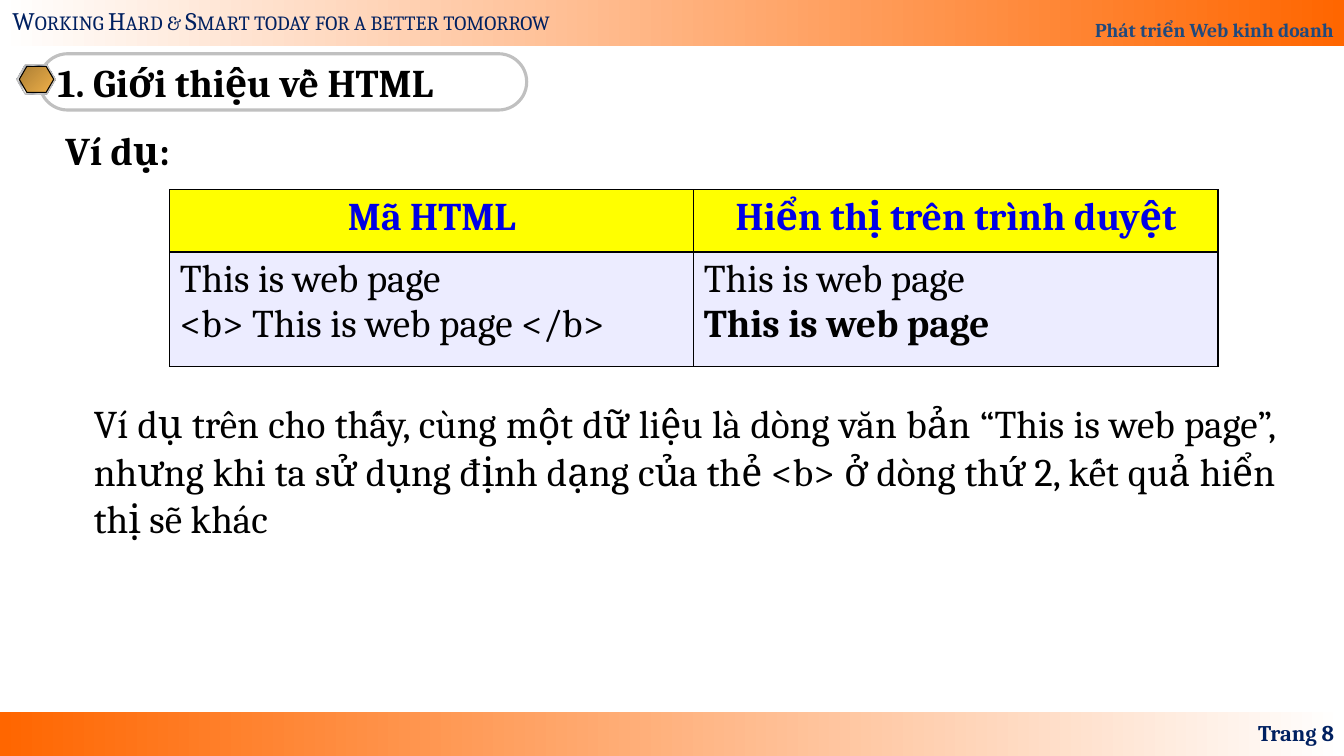
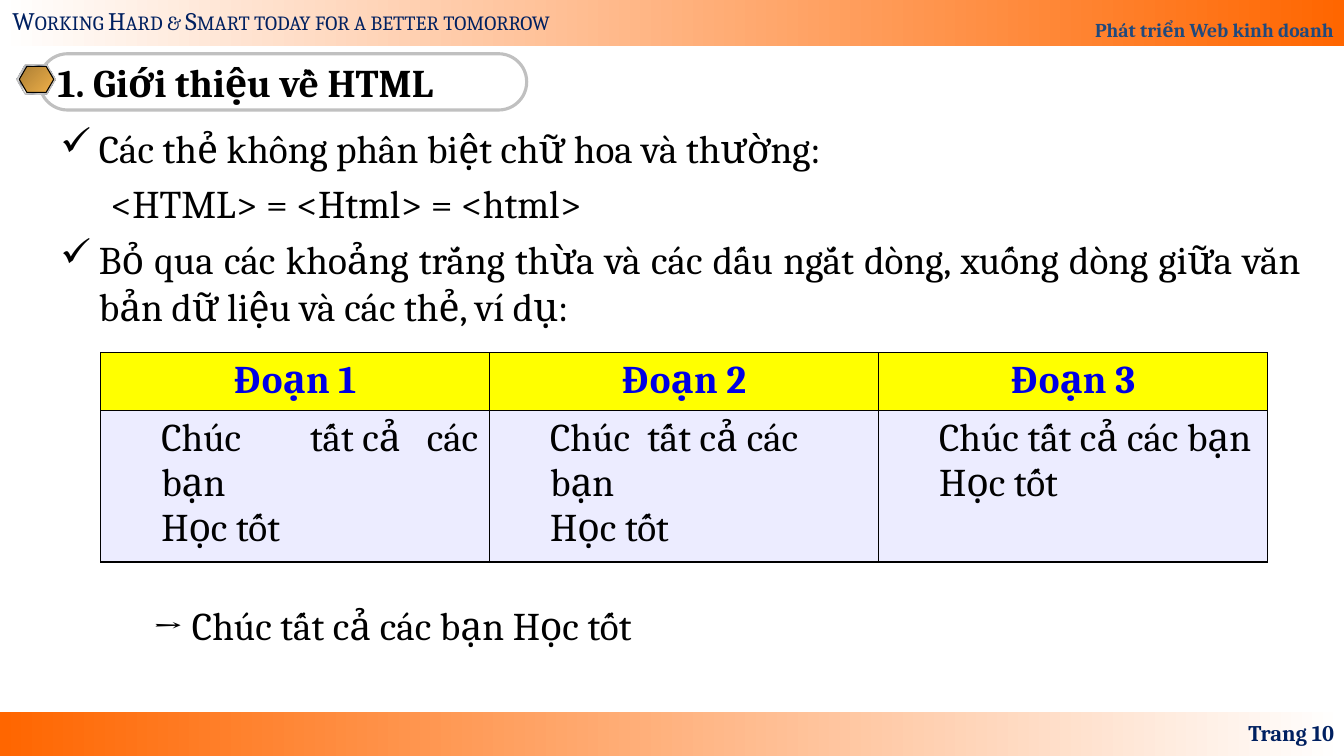
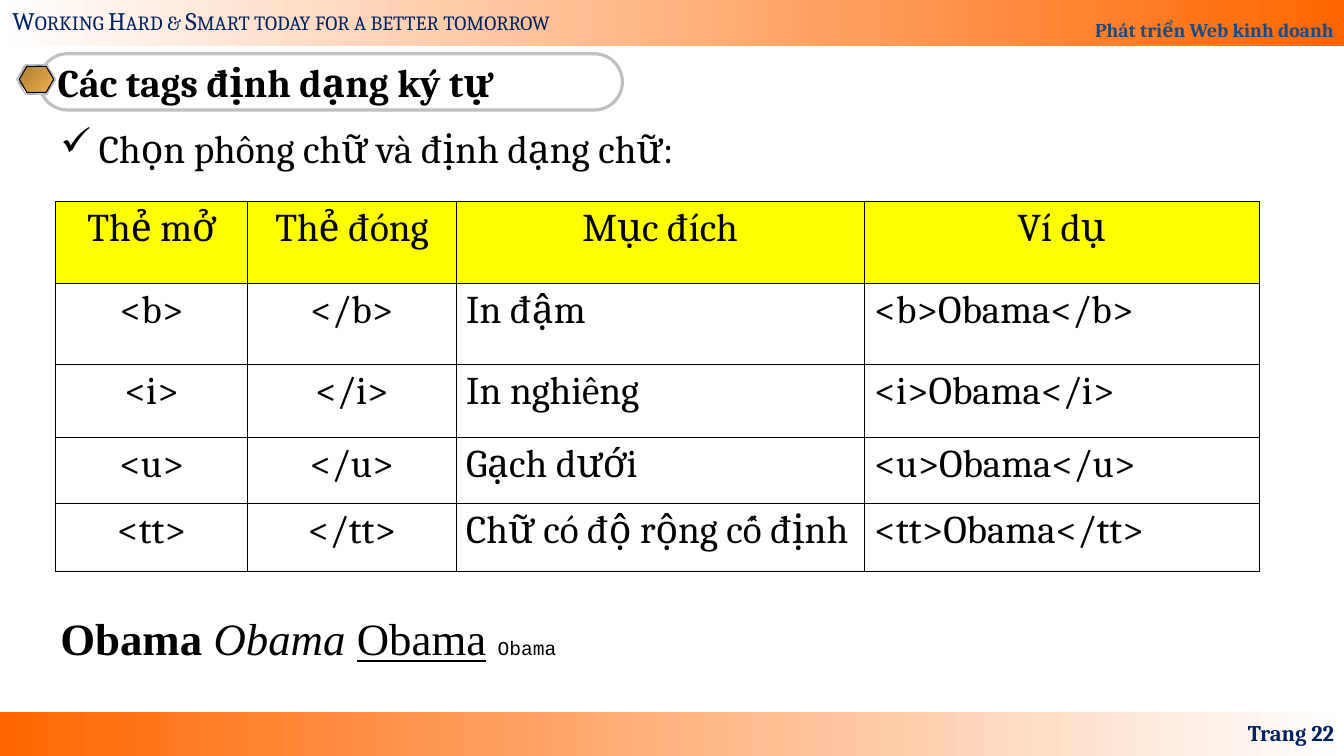
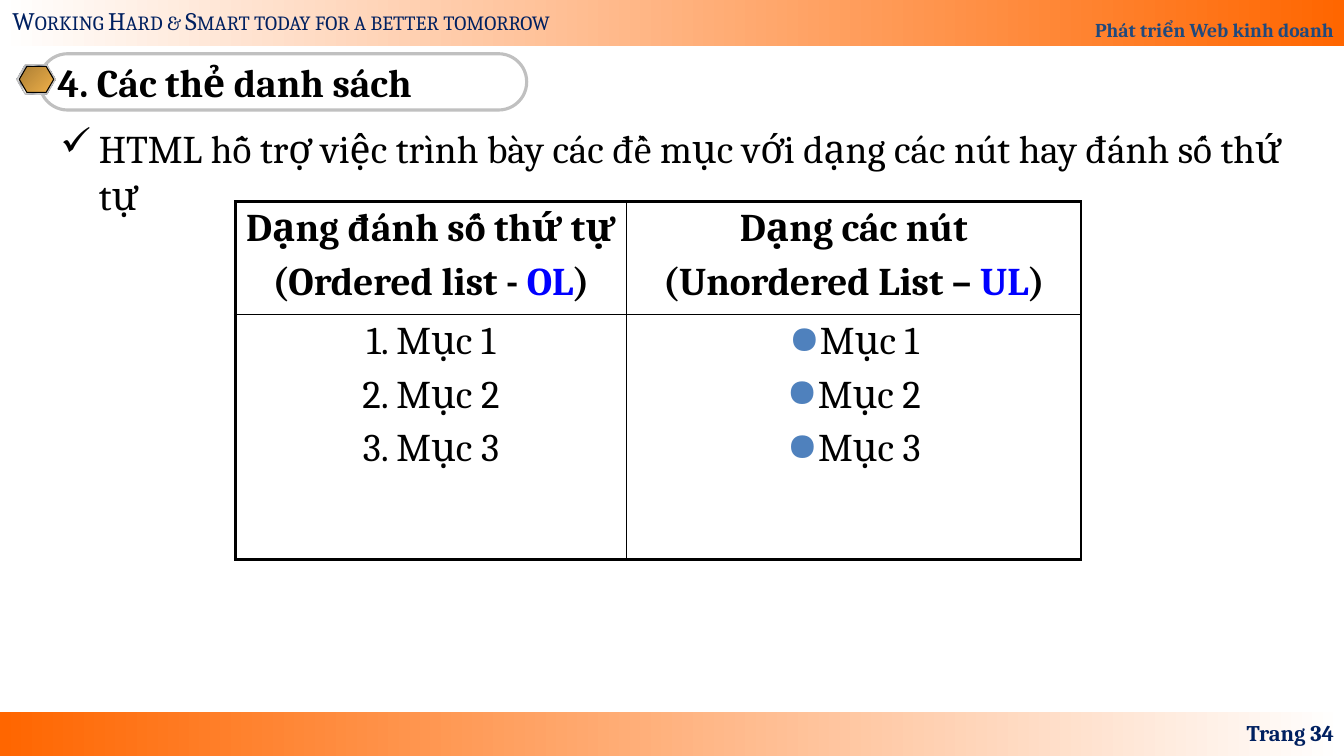
from dataclasses import dataclass

import pptx
import pptx.dml.color
import pptx.enum.shapes
import pptx.enum.text
import pptx.oxml.ns
import pptx.util
from lxml import etree

Align = pptx.enum.text.PP_ALIGN
Anchor = pptx.enum.text.MSO_ANCHOR
Preset = pptx.enum.shapes.MSO_SHAPE
Pt = pptx.util.Pt
qn = pptx.oxml.ns.qn

COLUMNS, ROWS = 160, 90
UNIT = pptx.util.Inches(7.5) // ROWS


class Theme:
    white, black, orange = "FFFFFF", "000000", "FF6600"
    yellow, lavender, bullet_blue = "FFFF00", "ECECFF", "4F81BD"
    outline, shade = "C0C0C0", "808080"
    band = [(0, white), (100, orange)]
    band_reversed = [(0, orange), (100, white)]
    silver = [(0, "E6E6E6"), (7, "7D8496"), (26, "E6E6E6"), (34, "7D8496"),
              (46, "E6E6E6"), (50, white), (54, "E6E6E6"), (66, "7D8496"),
              (74, "E6E6E6"), (93, "7D8496"), (100, "E6E6E6")]
    gold = [(0, "AB7E34"), (100, "EFB049")]

    body = dict(name="Cambria", size=Pt(28), color=black, bold=False)
    strong = body | dict(bold=True)
    heading = strong | dict(color="0000E5")
    keyword = dict(color="0000FF")
    course = strong | dict(size=Pt(14), color="1F497D")
    motto = body | dict(size=Pt(18), color="002060")
    page = strong | dict(size=Pt(16), color="002060")
    sample = body | dict(name="Times New Roman", size=Pt(32))
    fixed_width = dict(name="Courier New", size=Pt(14))
    paragraph_gap = Pt(6)


@dataclass
class Line:
    """A paragraph: plain text or (text, style changes) runs; indents in grid units."""
    content: object
    indent: float = 0
    hang: float = 0
    bullet: str = ""
    bullet_color: str = ""


def checked(text):
    return Line(text, indent=4.6, hang=4.6, bullet="✓")


def nested(text):
    return Line(text, indent=6)


def dotted(text):
    return Line(text, bullet="●", bullet_color=Theme.bullet_blue)


def rgb(value):
    return pptx.dml.color.RGBColor.from_string(value)


def grid(*units):
    return [round(unit * UNIT) for unit in units]


def apply(target, values):
    for attribute, value in values.items():
        setattr(target, attribute, value)


def add_color(parent, value):
    etree.SubElement(parent, qn("a:srgbClr"), val=value)


class Deck:
    def __init__(self):
        self.file = pptx.Presentation()
        apply(self.file, dict(slide_width=COLUMNS * UNIT, slide_height=ROWS * UNIT))
        self.slide = None

    def fill_text(self, frame, lines, style, **paragraph_format):
        """Fill a text frame with strings or Lines."""
        for index, line in enumerate([lines] if isinstance(lines, str) else lines):
            line = line if isinstance(line, Line) else Line(line)
            paragraph = frame.paragraphs[0] if index == 0 else frame.add_paragraph()
            self.indent(paragraph, line)
            values = dict(paragraph_format)
            if index == 0:
                values.pop("space_before", None)
            apply(paragraph, values)
            runs = [(line.content, {})] if isinstance(line.content, str) else line.content
            for text, changes in runs:
                run = paragraph.add_run()
                run.text = text
                values = style | changes
                run.font.color.rgb = rgb(values.pop("color"))
                apply(run.font, values)

    def indent(self, paragraph, line):
        properties = paragraph._p.get_or_add_pPr()
        margin, hang = grid(line.indent, line.hang)
        properties.set("marL", str(margin))
        properties.set("indent", str(-hang))
        if line.bullet_color:
            add_color(etree.SubElement(properties, qn("a:buClr")), line.bullet_color)
        if line.bullet:
            etree.SubElement(properties, qn("a:buChar"), char=line.bullet)
        else:
            etree.SubElement(properties, qn("a:buNone"))

    def text(self, place, lines, style, anchor=Anchor.TOP, **paragraph_format):
        frame = self.slide.shapes.add_textbox(*grid(*place)).text_frame
        apply(frame, dict(word_wrap=True, vertical_anchor=anchor))
        self.fill_text(frame, lines, style, **paragraph_format)
        return frame

    def shape(self, preset, place, fill=None, line=None, width=0.75,
              angle=0, adjustments=()):
        """Draw a preset; fill is a colour, a list of gradient stops or None."""
        shape = self.slide.shapes.add_shape(preset, *grid(*place))
        shape.shadow.inherit = False
        for index, value in enumerate(adjustments):
            shape.adjustments[index] = value
        if fill is None:
            shape.fill.background()
        elif isinstance(fill, str):
            shape.fill.solid()
            shape.fill.fore_color.rgb = rgb(fill)
        else:
            shape.fill.gradient()
            shape.fill.gradient_angle = (360 - angle) % 360
            stops = shape._element.spPr.find(".//" + qn("a:gsLst"))
            for stop in list(stops):
                stops.remove(stop)
            for position, color in fill:
                add_color(etree.SubElement(stops, qn("a:gs"), pos=str(position * 1000)), color)
        if line:
            shape.line.color.rgb = rgb(line)
            shape.line.width = Pt(width)
        else:
            shape.line.fill.background()
        return shape

    def new_slide(self, title, page, title_width=58):
        self.slide = self.file.slides.add_slide(self.file.slide_layouts[6])
        self.shape(Preset.RECTANGLE, (0, 84.8, COLUMNS, 5.2), Theme.band_reversed)
        header = self.shape(Preset.RECTANGLE, (0, 0, COLUMNS, 5.5), Theme.band).text_frame
        header.vertical_anchor = Anchor.BOTTOM
        self.fill_text(header, "Phát triển Web kinh doanh", Theme.course,
                       alignment=Align.RIGHT, line_spacing=1.8)
        motto = self.text((0.3, 0.1, 70.8, 4.8),
                          "Working Hard & Smart today for a better tomorrow", Theme.motto)
        motto.paragraphs[0].runs[0]._r.get_or_add_rPr().set("cap", "small")

        pill = self.shape(Preset.ROUNDED_RECTANGLE, (4.7, 6.4, title_width, 6.7),
                          line=Theme.outline, width=2.25, adjustments=[0.5]).text_frame
        apply(pill, dict(word_wrap=True, vertical_anchor=Anchor.MIDDLE))
        self.fill_text(pill, title, Theme.strong, alignment=Align.LEFT)
        for place, fill, line in [
            ((2, 7.8, 4.6, 3.5), Theme.shade, None),
            ((2, 7.7, 4.6, 3.5), Theme.silver, Theme.outline),
            ((2.3, 7.9, 4.1, 3.1), Theme.gold, Theme.black),
        ]:
            self.shape(Preset.HEXAGON, place, fill, line, angle=45, adjustments=[0.29, 1.15])
        self.text((122.6, 84.8, 37.4, 4.8), f"Trang {page}", Theme.page,
                  Anchor.MIDDLE, alignment=Align.RIGHT)

    def body(self, lines, alignment=Align.LEFT):
        self.text((6, 14.2, 150, 68.9), lines, Theme.body,
                  alignment=alignment, space_before=Theme.paragraph_gap)

    def table(self, corner, widths, heights, cells, aligns, head_style=Theme.heading,
              head_fill=Theme.yellow, body_fill=None, inner=1, outer=1, **paragraph_format):
        """Draw a table with a centred header row; aligns holds one value per column."""
        frame = self.slide.shapes.add_table(
            len(heights), len(widths), *grid(*corner, sum(widths), sum(heights)))
        table = frame.table
        apply(table, dict(first_row=False, horz_banding=False))
        for column, width in zip(table.columns, grid(*widths)):
            column.width = width
        for row, height in zip(table.rows, grid(*heights)):
            row.height = height
        last_row, last_column = len(heights) - 1, len(widths) - 1
        for r, row in enumerate(cells):
            for c, lines in enumerate(row):
                cell = table.cell(r, c)
                style, fill, align = ((Theme.body, body_fill, aligns[c]) if r
                                      else (head_style, head_fill, Align.CENTER))
                self.fill_text(cell.text_frame, lines, style, alignment=align,
                               **paragraph_format)
                edges = dict(L=c == 0, R=c == last_column, T=r == 0, B=r == last_row)
                self.borders(cell, {side: outer if edge else inner
                                    for side, edge in edges.items()})
                if fill:
                    cell.fill.solid()
                    cell.fill.fore_color.rgb = rgb(fill)
                else:
                    cell.fill.background()

    def borders(self, cell, widths):
        properties = cell._tc.get_or_add_tcPr()
        for side, width in widths.items():
            border = etree.SubElement(properties, qn(f"a:ln{side}"), w=str(Pt(width)))
            add_color(etree.SubElement(border, qn("a:solidFill")), Theme.black)


def bold_example(deck):
    deck.new_slide("1. Giới thiệu về HTML", 8)
    deck.table(
        (20.2, 22.6), [62.4] * 2, [7.4, 13.6],
        [["Mã HTML", "Hiển thị trên trình duyệt"],
         [["This is web page", "<b> This is web page </b>"],
          ["This is web page", Line([("This is web page", dict(bold=True))])]]],
        [Align.LEFT] * 2, body_fill=Theme.lavender)
    deck.text((6.6, 14.4, 20, 6.8), "Ví dụ:", Theme.strong)
    deck.text((10, 47, 143, 18.1),
              "Ví dụ trên cho thấy, cùng một dữ liệu là dòng văn bản “This is web page”, "
              "nhưng khi ta sử dụng định dạng của thẻ <b> ở dòng thứ 2, kết quả hiển thị "
              "sẽ khác", Theme.body, alignment=Align.JUSTIFY)


def whitespace_rules(deck):
    deck.new_slide("1. Giới thiệu về HTML", 10)
    deck.body([
        checked("Các thẻ không phân biệt chữ hoa và thường:"),
        nested("<HTML> = <Html> = <html>"),
        checked("Bỏ qua các khoảng trắng thừa và các dấu ngắt dòng, xuống dòng giữa "
                "văn bản dữ liệu và các thẻ, ví dụ:"),
    ], Align.JUSTIFY)
    deck.table(
        (12, 42), [46.3] * 3, [6.9, 18],
        [[f"Đoạn {number}" for number in (1, 2, 3)],
         [[nested("Chúc        tất cả   các bạn"), nested("Học tốt")],
          [nested("Chúc  tất cả các bạn"), nested("Học tốt")],
          [nested("Chúc tất cả các bạn Học tốt")]]],
        [Align.LEFT] * 3, body_fill=Theme.lavender)
    deck.text((11, 71, 67.6, 6.8), [nested("→ Chúc tất cả các bạn Học tốt")], Theme.body)


def character_tags(deck):
    deck.new_slide("Các tags định dạng ký tự", 22, title_width=69.4)
    deck.body([checked("Chọn phông chữ và định dạng chữ:")])
    purposes = dict(b="In đậm", i="In nghiêng", u="Gạch dưới", tt="Chữ có độ rộng cố định")
    deck.table(
        (6.6, 24), [22.9, 24.8, 48.6, 47], [9.7, 9.7, 8.7, 7.8, 8.1],
        [["Thẻ mở", "Thẻ đóng", "Mục đích", "Ví dụ"]]
        + [[f"<{tag}>", f"</{tag}>", purpose, f"<{tag}>Obama</{tag}>"]
           for tag, purpose in purposes.items()],
        [Align.CENTER] * 2 + [Align.LEFT] * 2,
        head_style=Theme.body, inner=0.75, outer=0.75)
    deck.text((6, 72.1, 152, 7.7), [Line([
        ("Obama ", dict(bold=True)), ("Obama ", dict(italic=True)),
        ("Obama", dict(underline=True)), (" ", {}), ("Obama", Theme.fixed_width),
    ])], Theme.sample, Anchor.MIDDLE)


def list_tags(deck):
    deck.new_slide("4. Các thẻ danh sách", 34)
    deck.body([checked("HTML hỗ trợ việc trình bày các đề mục với dạng các nút "
                       "hay đánh số thứ tự")])
    items = [f"Mục {number}" for number in (1, 2, 3)]
    deck.table(
        (28, 24), [46.6, 54.1], [13.4, 29.2],
        [[["Dạng đánh số thứ tự",
           Line([("(Ordered list - ", {}), ("OL", Theme.keyword), (")", {})])],
          ["Dạng các nút",
           Line([("(Unordered List – ", {}), ("UL", Theme.keyword), (")", {})])]],
         [[f"{number}. {item}" for number, item in enumerate(items, 1)],
          [dotted(item) for item in items]]],
        [Align.CENTER] * 2, head_style=Theme.strong, head_fill=None,
        outer=2.25, space_before=Theme.paragraph_gap)


def main():
    deck = Deck()
    for build in (bold_example, whitespace_rules, character_tags, list_tags):
        build(deck)
    deck.file.save("out.pptx")


if __name__ == "__main__":
    main()
